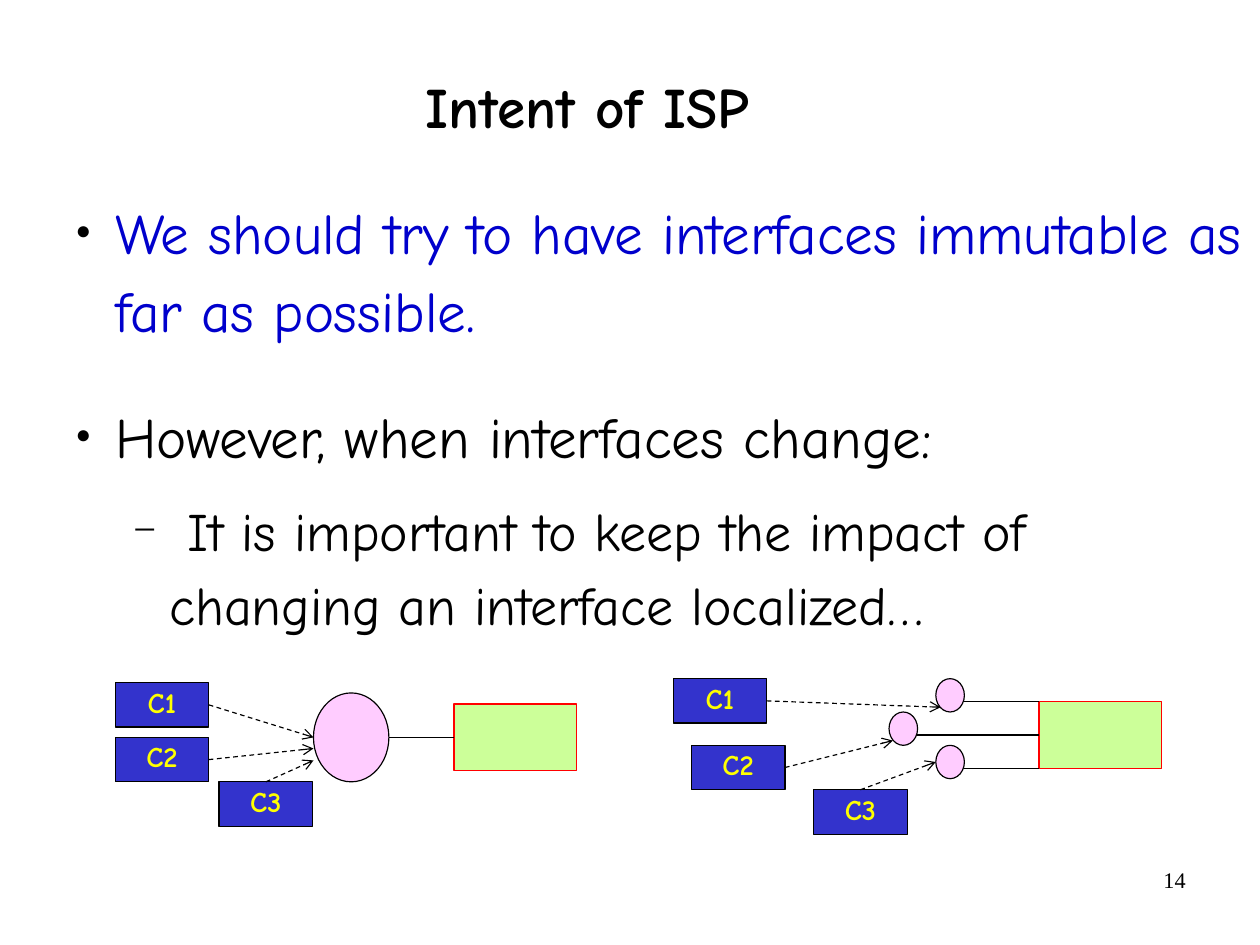
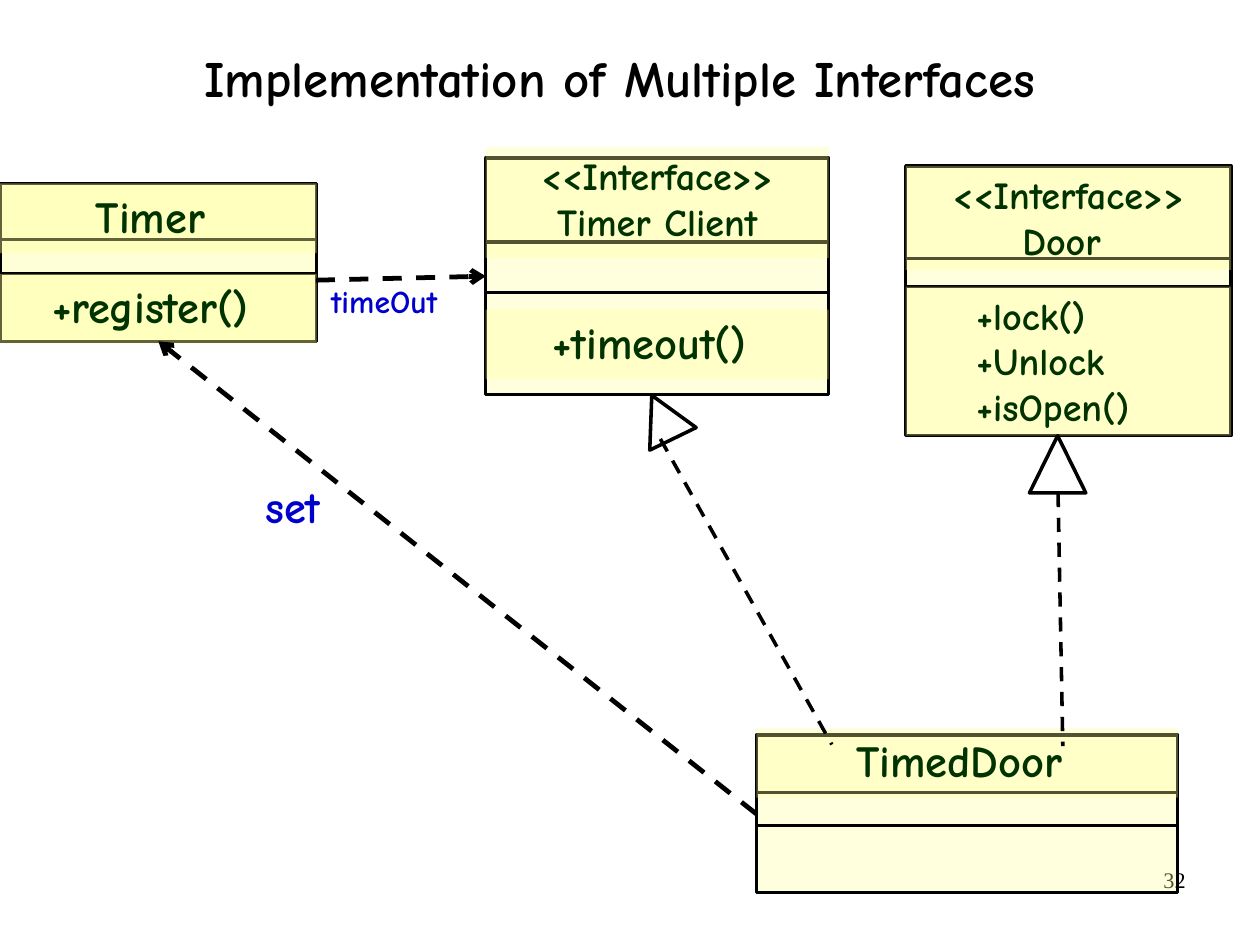
from lxml import etree
from pptx import Presentation
from pptx.dml.color import RGBColor
from pptx.enum.dml import MSO_LINE
from pptx.enum.shapes import MSO_CONNECTOR, MSO_SHAPE
from pptx.enum.text import MSO_ANCHOR, PP_ALIGN
from pptx.oxml.ns import qn
from pptx.util import Pt

RECT, OVAL, TRIANGLE = MSO_SHAPE.RECTANGLE, MSO_SHAPE.OVAL, MSO_SHAPE.ISOSCELES_TRIANGLE
LEFT, CENTER, RIGHT = PP_ALIGN.LEFT, PP_ALIGN.CENTER, PP_ALIGN.RIGHT
TOP, MIDDLE = MSO_ANCHOR.TOP, MSO_ANCHOR.MIDDLE
STRAIGHT, DASH = MSO_CONNECTOR.STRAIGHT, MSO_LINE.DASH
SIDE_TOP, SIDE_LEFT, SIDE_BOTTOM, SIDE_RIGHT = range(4)
FONT, SERIF_FONT = "Comic Neue", "Times New Roman"
COLORS = {
    "black": "000000", "white": "FFFFFF", "blue": "0000CC", "client": "3333CC",
    "yellow": "FFFF00", "interface": "FFCCFF", "provider": "CCFF99",
    "red": "FF0000", "class": "FFFF99", "green": "003300",
}


def add_box(page, kind, frame, text="", size=18, color="black", bold=True, align=CENTER,
            anchor=TOP, spacing=1, font=FONT, wrap=True, fill=None, alpha=100,
            line=None, width=0.75):
    """Add a preset shape, or a text box when kind is None."""
    frame = [Pt(value) for value in frame]
    if kind is None:
        box = page.shapes.add_textbox(*frame)
    else:
        box = page.shapes.add_shape(kind, *frame)
        box.shadow.inherit = False
        box.fill.solid()
        box.fill.fore_color.rgb = RGBColor.from_string(COLORS[fill])
        if alpha < 100:
            tint = box.fill._xPr.find(qn("a:solidFill"))[0]
            etree.SubElement(tint, qn("a:alpha"), val=str(alpha * 1000))
        if line:
            box.line.color.rgb = RGBColor.from_string(COLORS[line])
            box.line.width = Pt(width)
        else:
            box.line.fill.background()
    if text:
        box.text_frame.text = text
        box.text_frame.word_wrap = wrap
        box.text_frame.vertical_anchor = anchor
        for para in box.text_frame.paragraphs:
            para.alignment = align
            para.line_spacing = spacing
            for span in para.runs:
                span.font.name = font
                span.font.size = Pt(size)
                span.font.bold = bold
                span.font.color.rgb = RGBColor.from_string(COLORS[color])
    return box


def add_line(page, start, end, width=0.75, dashed=False, arrow=False):
    line = page.shapes.add_connector(STRAIGHT, *[Pt(value) for value in (*start, *end)])
    line.line.color.rgb = RGBColor.from_string(COLORS["black"])
    line.line.width = Pt(width)
    if dashed:
        line.line.dash_style = DASH
    if arrow:
        etree.SubElement(line.line._get_or_add_ln(), qn("a:tailEnd"), type="arrow")
    etree.SubElement(line._element.spPr, qn("a:effectLst"))
    return line


deck = Presentation()
deck.slide_width, deck.slide_height = Pt(793.7), Pt(595.28)

# Pages with their numbers and titles
pages = []
for number, title, frame, size, anchor in [
    ("14", "Intent of ISP", (31.5, 20, 677, 99), 36, MIDDLE),
    ("32", "Implementation of Multiple Interfaces", (33.5, 31, 714, 88), 32, TOP),
]:
    page = deck.slides.add_slide(deck.slide_layouts[6])
    add_box(page, None, (569, 542, 185, 41), number, 14, bold=False, align=RIGHT,
            font=SERIF_FONT)
    add_box(page, None, frame, title, size, anchor=anchor, spacing=0.88)
    pages.append(page)
intent, diagram = pages

# Bulleted text
points = [
    ("We should try to have interfaces immutable as far as possible.",
     36, "blue", 33, -25, 18, "●", 45),
    ("However, when interfaces change:", 36, "black", 33, -25, 0, "●", 45),
    (" It is important to keep the impact of changing an interface localized…",
     34, "black", 67, -22.5, 18, "−", 75),
]
body = add_box(intent, None, (32.5, 114.5, 761, 363), "\n".join(point[0] for point in points),
               bold=False, align=LEFT, spacing=1.14)
for index, (para, point) in enumerate(zip(body.text_frame.paragraphs, points)):
    _, size, color, margin, indent, after, mark, percent = point
    para.space_before = Pt(12 if index else 0)
    para.space_after = Pt(after)
    para.level = 1 if mark == "−" else 0
    props = para._p.get_or_add_pPr()
    props.set("marL", str(Pt(margin)))
    props.set("indent", str(Pt(indent)))
    bullet_color = etree.SubElement(props, qn("a:buClr"))
    etree.SubElement(bullet_color, qn("a:srgbClr"), val=COLORS["black"])
    etree.SubElement(props, qn("a:buSzPct"), val=str(percent * 1000))
    etree.SubElement(props, qn("a:buFont"), typeface=SERIF_FONT)
    etree.SubElement(props, qn("a:buChar"), char=mark)
    para.runs[0].font.size = Pt(size)
    para.runs[0].font.color.rgb = RGBColor.from_string(COLORS[color])

# One wide interface, then three narrow ones
# provider corner; interfaces (frame, line height); clients (name, corner, side, arrow end)
figures = [
    ((286, 443.5),
     [((197.5, 436.5, 47.5, 56), 464.5)],
     [("C1", (72.5, 430), SIDE_RIGHT, (197.5, 464.5)),
      ("C2", (72.5, 464.5), SIDE_RIGHT, (197.5, 471.5)),
      ("C3", (138, 492.5), SIDE_TOP, (197.5, 479))]),
    ((654.5, 442),
     [((589.5, 469.5, 18, 21), 484),
      ((560, 448.5, 18, 21), 463),
      ((589.5, 427.5, 18, 21), 442)],
     [("C1", (424, 427.5), SIDE_RIGHT, (592.5, 445.5)),
      ("C2", (435.5, 469.5), SIDE_RIGHT, (562.5, 466.5)),
      ("C3", (512.5, 497.5), SIDE_TOP, (589.5, 480))]),
]
for (left, top), interfaces, clients in figures:
    provider = add_box(intent, RECT, (left, top, 77, 42), fill="provider", line="red")
    for frame, y in interfaces:
        link = add_line(intent, (left, y), (frame[0] + frame[2] * 0.7, y))
        if y == top + 21:
            link.begin_connect(provider, SIDE_LEFT)
        add_box(intent, OVAL, frame, fill="interface", line="black")
    for name, corner, side, end in clients:
        client = add_box(intent, RECT, (*corner, 59, 28), name, color="yellow", anchor=MIDDLE,
                         spacing=0.8, fill="client", line="black")
        arrow = add_line(intent, corner, end, dashed=True, arrow=True)
        arrow.begin_connect(client, side)

# Class boxes: frame, opacity, dividers, sections (top, height, text, size, align)
classes = {
    "Timer": ((0, 115.5, 199.5, 99.5), 39, (151, 172.5),
              [(115.5, 44, "Timer ", 28, CENTER), (172.5, 44, "+register() ", 28, CENTER)]),
    "Client": ((306, 99.5, 216, 149), 32, (152.5, 184.5),
               [(92.5, 70, "<<Interface>>\nTimer Client", 24, CENTER),
                (195, 44, "+timeout() ", 28, CENTER)]),
    "Door": ((570.5, 104.5, 205, 170), 32, (163, 180.5),
             [(104.5, 65.5, "<<Interface>>\nDoor ", 24, CENTER),
              (180.5, 94, "+lock()\n+Unlock\n+isOpen()", 24, LEFT)]),
    "TimedDoor": ((476.5, 463, 265.5, 99.5), 32, (499, 520),
                  [(458.5, 44, "TimedDoor ", 28, CENTER)]),
}
outlines = {}
for name, (frame, alpha, dividers, sections) in classes.items():
    left, _, width, _ = frame
    outlines[name] = add_box(diagram, RECT, frame, fill="class", alpha=alpha,
                             line="black", width=2)
    for y in dividers:
        add_line(diagram, (left, y), (left + width, y), 2)
    for top, height, text, size, align in sections:
        section = add_box(diagram, RECT, (left, top, width, height), text, size, "green",
                          align=align, fill="class", alpha=alpha)
        if align == LEFT:
            for para in section.text_frame.paragraphs:
                para._p.get_or_add_pPr().set("marL", str(Pt(37.5)))

# Realization arrows
for frame, rotation, start, end in [
    ((648.5, 274.5, 35.5, 36), 0, (666.5, 310.5), (669.5, 470)),
    ((401, 247.5, 32.5, 30.5), 334.1, (416, 276.5), (524, 469)),
]:
    head = add_box(diagram, TRIANGLE, frame, fill="white", line="black", width=2.25)
    head.rotation = rotation
    add_line(diagram, start, end, 2.25, dashed=True)

# Dependency arrows
notify = add_line(diagram, (199, 176.5), (306, 174), 3, dashed=True, arrow=True)
notify.end_connect(outlines["Client"], SIDE_LEFT)
setting = add_line(diagram, (476.5, 513), (100, 215.5), 3, dashed=True, arrow=True)
setting.begin_connect(outlines["TimedDoor"], SIDE_LEFT)
setting.end_connect(outlines["Timer"], SIDE_BOTTOM)
for text, frame, size in [("set", (160, 304.5, 57.5, 34.5), 28),
                          ("timeOut", (201.5, 178.5, 93, 26.5), 20)]:
    add_box(diagram, None, frame, text, size, "blue", align=LEFT, spacing=0.8, wrap=False)

deck.save("out.pptx")
